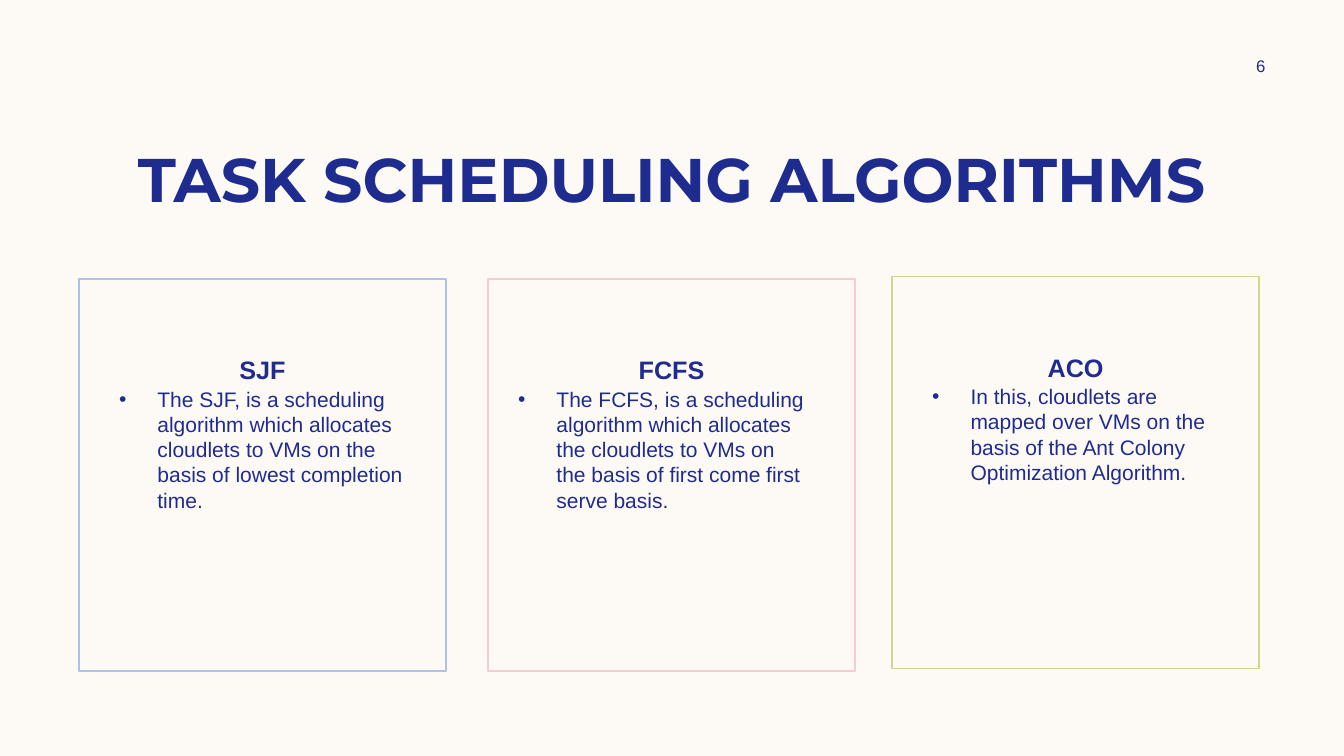
from lxml.etree import SubElement
from pptx import Presentation
from pptx.dml.color import RGBColor
from pptx.enum.shapes import MSO_SHAPE
from pptx.enum.text import MSO_ANCHOR, PP_ALIGN
from pptx.oxml.ns import qn
from pptx.util import Inches, Pt


class Theme:
    paper = RGBColor.from_string("FDFAF6")
    ink = RGBColor.from_string("1F2C8F")
    blue = RGBColor.from_string("AAC3E8")
    pink = RGBColor.from_string("F5CDCE")
    green = RGBColor.from_string("D2D592")
    head, body = "Montserrat", "Arial"
    title, label, note, small = 44, 18, 15, 12
    lead = 1.2
    indent = Inches(0.38)


def write(frame, text, size, font=Theme.body, bold=False, align=PP_ALIGN.CENTER,
          anchor=MSO_ANCHOR.TOP, lead=None, bullet=False):
    frame.word_wrap = True
    frame.vertical_anchor = anchor
    para = frame.paragraphs[0]
    para.alignment = align
    if lead:
        para.line_spacing = Pt(size * lead)
    if bullet:
        props = para._p.get_or_add_pPr()
        props.set("marL", str(Theme.indent))
        props.set("indent", str(-Theme.indent))
        SubElement(props, qn("a:buFont"), typeface="Arial")
        SubElement(props, qn("a:buChar"), char="•")
    run = para.add_run()
    run.text = text
    run.font.size = Pt(size)
    run.font.name = font
    run.font.bold = bold
    run.font.color.rgb = Theme.ink


class Page:
    """One slide on a grid of 16 columns and 9 rows."""

    def __init__(self, deck, theme):
        self.theme = theme
        self.col = deck.slide_width / 16
        self.row = deck.slide_height / 9
        self.slide = deck.slides.add_slide(deck.slide_layouts[6])
        fill = self.slide.background.fill
        fill.solid()
        fill.fore_color.rgb = theme.paper

    def place(self, x, y, w, h):
        return (round(x * self.col), round(y * self.row),
                round(w * self.col), round(h * self.row))

    def text(self, box, words, size, **style):
        shape = self.slide.shapes.add_textbox(*self.place(*box))
        write(shape.text_frame, words, size, **style)

    def frame(self, box, label, color):
        shape = self.slide.shapes.add_shape(MSO_SHAPE.RECTANGLE, *self.place(*box))
        shape.shadow.inherit = False
        shape.fill.background()
        shape.line.color.rgb = color
        shape.line.width = Pt(1)
        shape.text_frame.margin_top = Inches(0.75)
        write(shape.text_frame, label, self.theme.label, bold=True,
              lead=self.theme.lead)

    def card(self, x, y, inset, color, label, note):
        self.frame((x, y, 4.37, 4.67), label, color)
        self.text((x + inset, y + 1.22, 3.64, 2.89), note, self.theme.note,
                  align=PP_ALIGN.LEFT, lead=self.theme.lead, bullet=True)


def main():
    deck = Presentation()
    deck.slide_width, deck.slide_height = Inches(13.33), Inches(7.5)
    page = Page(deck, Theme)
    page.text((1, 1.62, 14, 1.01), "TASK SCHEDULING ALGORITHMS", Theme.title,
              font=Theme.head, bold=True)
    page.text((14.36, 0.6, 1.3, 0.36), "6", Theme.small, anchor=MSO_ANCHOR.MIDDLE)
    cards = [
        (0.94, 3.32, 0.36, Theme.blue, "SJF",
         "The SJF, is a scheduling algorithm which allocates cloudlets to VMs "
         "on the basis of lowest completion time."),
        (5.81, 3.32, 0.24, Theme.pink, "FCFS",
         "The FCFS, is a scheduling algorithm which allocates the cloudlets to "
         "VMs on the basis of first come first serve basis."),
        (10.62, 3.29, 0.36, Theme.green, "ACO",
         "In this, cloudlets are mapped over VMs on the basis of the Ant Colony "
         "Optimization Algorithm."),
    ]
    for card in cards:
        page.card(*card)
    deck.save("out.pptx")


if __name__ == "__main__":
    main()
